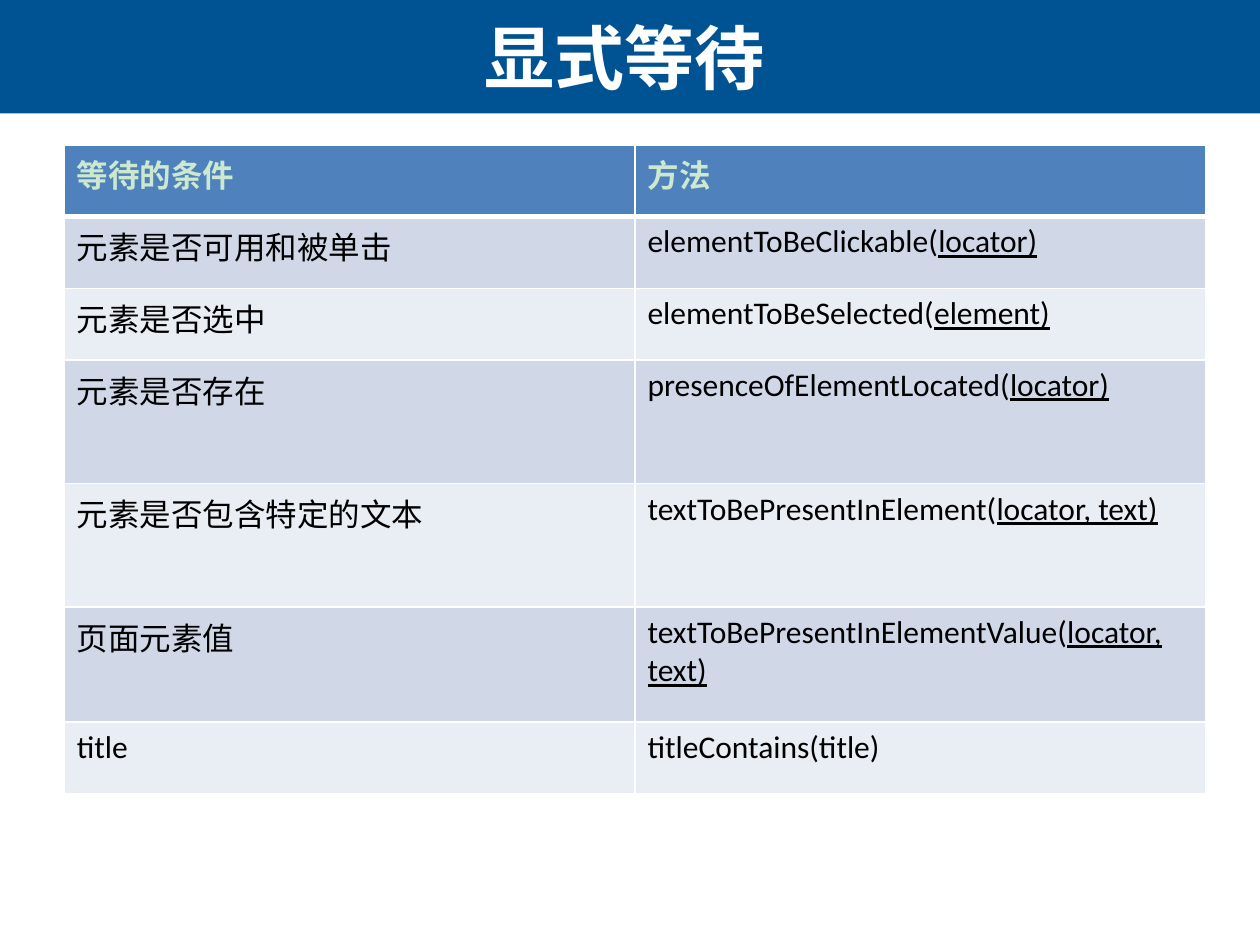
from dataclasses import dataclass

from lxml.etree import SubElement
from pptx import Presentation
from pptx.dml.color import RGBColor as RGB
from pptx.enum.shapes import MSO_SHAPE as Shape
from pptx.enum.text import MSO_ANCHOR as Anchor, PP_ALIGN as Align
from pptx.oxml.ns import qn
from pptx.util import Inches, Pt


@dataclass(frozen=True)
class Theme:
    paper: str = "FFFFFF"
    banner: str = "005392"
    header: str = "4F81BD"
    header_text: str = "CCE8CF"
    text: str = "000000"
    bands: tuple = ("D0D8E8", "E9EDF4")
    title_font: str = "Arial"
    body_font: str = "Calibri"
    title_size: int = 40
    body_size: int = 18
    rule: int = 1
    header_rule: int = 3


THEME = Theme()
WIDTH, HEIGHT = Inches(10), Inches(7.5)
BANNER_SHARE = 0.12
COLS = (4.53, 4.53)
ROWS = (0.57, 0.57, 0.57, 0.98, 0.98, 0.91, 0.57)
CONDITIONS = (
    ("等待的条件", "方法", ""),
    ("元素是否可用和被单击", "elementToBeClickable(", "locator)"),
    ("元素是否选中", "elementToBeSelected(", "element)"),
    ("元素是否存在", "presenceOfElementLocated(", "locator)"),
    ("元素是否包含特定的文本", "textToBePresentInElement(", "locator, text)"),
    ("页面元素值", "textToBePresentInElementValue(", "locator, text)"),
    ("title", "titleContains(title)", ""),
)


def set_font(font, name, size, color, bold):
    font.name, font.size, font.bold = name, Pt(size), bold
    font.color.rgb = RGB.from_string(color)


def add_banner(slide):
    sp = slide.shapes.add_shape(Shape.RECTANGLE, 0, 0, WIDTH, int(HEIGHT * BANNER_SHARE))
    sp.shadow.inherit = False
    sp.fill.solid()
    sp.fill.fore_color.rgb = RGB.from_string(THEME.banner)
    sp.line.fill.background()


def add_title(slide, text):
    box = slide.shapes.add_textbox(Inches(0.02), 0, Inches(9.87), int(HEIGHT * BANNER_SHARE))
    tf = box.text_frame
    tf.word_wrap = True
    tf.vertical_anchor = Anchor.MIDDLE
    p = tf.paragraphs[0]
    p.text, p.alignment = text, Align.CENTER
    set_font(p.font, THEME.title_font, THEME.title_size, THEME.paper, True)


def set_borders(cell, top, bottom):
    tc_pr = cell._tc.get_or_add_tcPr()
    sides = {"L": THEME.rule, "R": THEME.rule, "T": top, "B": bottom}
    for side, width in sides.items():
        ln = SubElement(tc_pr, qn(f"a:ln{side}"), w=str(Pt(width)))
        fill = SubElement(ln, qn("a:solidFill"))
        SubElement(fill, qn("a:srgbClr"), val=THEME.paper)


def fill_cell(cell, row, plain, underlined=""):
    is_header = row == 0
    top = THEME.header_rule if row == 1 else THEME.rule
    bottom = THEME.header_rule if is_header else THEME.rule
    set_borders(cell, top, bottom)
    cell.fill.solid()
    fill = THEME.header if is_header else THEME.bands[(row - 1) % 2]
    cell.fill.fore_color.rgb = RGB.from_string(fill)
    p = cell.text_frame.paragraphs[0]
    p.add_run().text = plain
    if underlined:
        r = p.add_run()
        r.text, r.font.underline = underlined, True
    color = THEME.header_text if is_header else THEME.text
    set_font(p.font, THEME.body_font, THEME.body_size, color, is_header)


def add_conditions(slide):
    frame = slide.shapes.add_table(
        len(ROWS), len(COLS), Inches(0.51), Inches(1.15),
        Inches(sum(COLS)), Inches(sum(ROWS)))
    table = frame.table
    for column, width in zip(table.columns, COLS):
        column.width = Inches(width)
    for i, (condition, method, argument) in enumerate(CONDITIONS):
        table.rows[i].height = Inches(ROWS[i])
        fill_cell(table.cell(i, 0), i, condition)
        fill_cell(table.cell(i, 1), i, method, argument)


def main():
    prs = Presentation()
    prs.slide_width, prs.slide_height = WIDTH, HEIGHT
    slide = prs.slides.add_slide(prs.slide_layouts[6])
    bg = slide.background.fill
    bg.solid()
    bg.fore_color.rgb = RGB.from_string(THEME.paper)
    add_banner(slide)
    add_title(slide, "显式等待")
    add_conditions(slide)
    prs.save("out.pptx")


if __name__ == "__main__":
    main()
